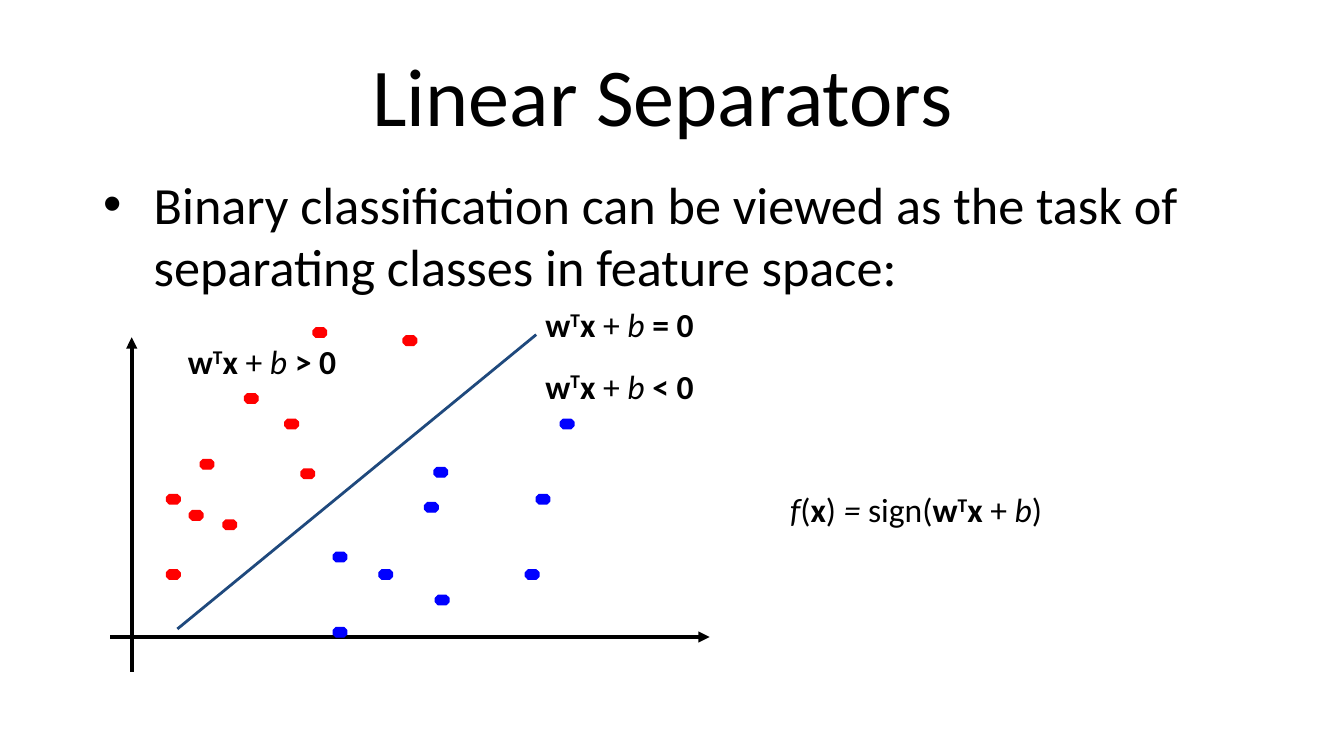
"""Build the slide on linear separators: two classes of points, a line and its equations."""
from dataclasses import dataclass

from lxml.etree import SubElement
from pptx import Presentation
from pptx.dml.color import RGBColor
from pptx.enum.shapes import MSO_CONNECTOR as Connector, MSO_SHAPE as Preset
from pptx.enum.text import MSO_ANCHOR as Anchor, MSO_AUTO_SIZE as AutoSize, PP_ALIGN as Align
from pptx.oxml.ns import qn
from pptx.slide import Slide
from pptx.text.text import TextFrame
from pptx.util import Inches, Length, Pt

CELL = 0.1
COLUMNS, ROWS = 100, 56.25
FONT = "Calibri"
BLACK, RED, BLUE, NAVY = "000000", "FF0000", "0000FF", "1F497D"
DOT_WIDTH, DOT_HEIGHT = 1, 0.7


@dataclass(frozen=True)
class Box:
    left: float
    top: float
    width: float
    height: float


@dataclass(frozen=True)
class Piece:
    text: str
    bold: bool = False
    italic: bool = False
    raised: bool = False


@dataclass(frozen=True)
class Label:
    box: Box
    pieces: tuple[Piece, ...]


@dataclass(frozen=True)
class Stroke:
    start: tuple[float, float]
    end: tuple[float, float]
    color: str
    weight: float
    arrow: bool = False


@dataclass(frozen=True)
class PointClass:
    color: str
    points: tuple[tuple[float, float], ...]


LINEAR_FORM = (
    Piece("w", bold=True),
    Piece("T", bold=True, raised=True),
    Piece("x ", bold=True),
    Piece("+ "),
    Piece("b", italic=True),
)
DECISION_FUNCTION = (
    Piece("f", italic=True),
    Piece("("),
    Piece("x", bold=True),
    Piece(")"),
    Piece(" = ", italic=True),
    Piece("sign("),
    *LINEAR_FORM,
    Piece(")"),
)
LABELS = (
    Label(Box(39.6, 22.1, 29.2, 4), (*LINEAR_FORM, Piece(" = 0", bold=True))),
    Label(Box(39.6, 26.7, 29.2, 4), (*LINEAR_FORM, Piece(" < 0", bold=True))),
    Label(Box(13, 24.9, 29.2, 4), (*LINEAR_FORM, Piece(" > 0", bold=True))),
    Label(Box(57.8, 35.9, 32.1, 4), DECISION_FUNCTION),
)
AXES = (
    Stroke((9.8, 50), (9.8, 25.1), BLACK, 2, arrow=True),
    Stroke((8.2, 47.4), (52.8, 47.4), BLACK, 2, arrow=True),
)
SEPARATOR = Stroke((13.2, 46.8), (39.9, 24.9), NAVY, 1.5)
CLASSES = (
    PointClass(RED, (
        (21.2, 31.2), (14.9, 34.2), (16.6, 38.7), (12.4, 42.4), (18.2, 29.3),
        (12.4, 36.8), (14.1, 38), (22.4, 34.9), (23.3, 24.4), (30, 25),
    )),
    PointClass(BLUE, (
        (32.3, 34.8), (28.2, 42.4), (39.1, 42.4), (24.8, 46.7), (31.6, 37.4),
        (24.8, 41.1), (32.4, 44.3), (39.9, 36.8), (41.7, 31.2),
    )),
)


def grid(cells: float) -> Length:
    """Turn a number of grid cells into a length."""
    return Inches(cells * CELL)


def place(box: Box) -> tuple[Length, Length, Length, Length]:
    """Give the left, top, width and height of a box on the slide."""
    return grid(box.left), grid(box.top), grid(box.width), grid(box.height)


def color(value: str) -> RGBColor:
    """Read a hex string as a colour."""
    return RGBColor.from_string(value)


def write(frame: TextFrame, pieces: tuple[Piece, ...], size: float) -> None:
    """Add the pieces as runs to the first paragraph of a frame."""
    frame.word_wrap = True
    for piece in pieces:
        run = frame.paragraphs[0].add_run()
        run.text = piece.text
        run.font.name, run.font.size = FONT, Pt(size)
        run.font.bold, run.font.italic = piece.bold, piece.italic
        run.font.color.rgb = color(BLACK)
        if piece.raised:
            run.font._element.set("baseline", "30000")


def add_title(slide: Slide, box: Box, text: str) -> None:
    """Move, fill and format the title placeholder."""
    title = slide.shapes.title
    title.left, title.top, title.width, title.height = place(box)
    frame = title.text_frame
    frame.auto_size, frame.vertical_anchor = AutoSize.NONE, Anchor.MIDDLE
    frame.paragraphs[0].alignment = Align.CENTER
    write(frame, (Piece(text),), 44)


def add_bullet(slide: Slide, box: Box, text: str) -> None:
    """Add a text box with one bulleted paragraph."""
    frame = slide.shapes.add_textbox(*place(box)).text_frame
    write(frame, (Piece(text),), 28)
    properties = frame.paragraphs[0]._p.get_or_add_pPr()
    indent = grid(3.75)
    properties.set("marL", str(indent))
    properties.set("indent", str(-indent))
    SubElement(properties, qn("a:buFont"), typeface="Arial")
    SubElement(properties, qn("a:buChar"), char="•")


def add_label(slide: Slide, label: Label) -> None:
    """Add a text box that holds one formula."""
    write(slide.shapes.add_textbox(*place(label.box)).text_frame, label.pieces, 18)


def add_stroke(slide: Slide, stroke: Stroke) -> None:
    """Draw a straight line, with an arrowhead at its end if wanted."""
    ends = [grid(value) for value in (*stroke.start, *stroke.end)]
    connector = slide.shapes.add_connector(Connector.STRAIGHT, *ends)
    connector.line.color.rgb = color(stroke.color)
    connector.line.width = Pt(stroke.weight)
    if stroke.arrow:
        SubElement(connector.line._get_or_add_ln(), qn("a:tailEnd"), type="triangle")
    SubElement(connector._element.spPr, qn("a:effectLst"))


def add_points(slide: Slide, point_class: PointClass) -> None:
    """Draw every point of a class as a small octagon."""
    for left, top in point_class.points:
        dot = slide.shapes.add_shape(Preset.OCTAGON, *place(Box(left, top, DOT_WIDTH, DOT_HEIGHT)))
        dot.shadow.inherit = False
        dot.fill.solid()
        dot.fill.fore_color.rgb = dot.line.color.rgb = color(point_class.color)
        dot.line.width = Pt(0.75)


def main() -> None:
    """Build the presentation and save it."""
    presentation = Presentation()
    presentation.slide_width, presentation.slide_height = grid(COLUMNS), grid(ROWS)
    slide = presentation.slides.add_slide(presentation.slide_layouts[5])
    add_title(slide, Box(5, 2.3, 90, 9.4), "Linear Separators ")
    add_bullet(slide, Box(6.7, 12.3, 90, 41.2),
               "Binary classification can be viewed as the task of separating classes in feature space:")
    for stroke in (*AXES, SEPARATOR):
        add_stroke(slide, stroke)
    for point_class in CLASSES:
        add_points(slide, point_class)
    for label in LABELS:
        add_label(slide, label)
    presentation.save("out.pptx")


if __name__ == "__main__":
    main()
